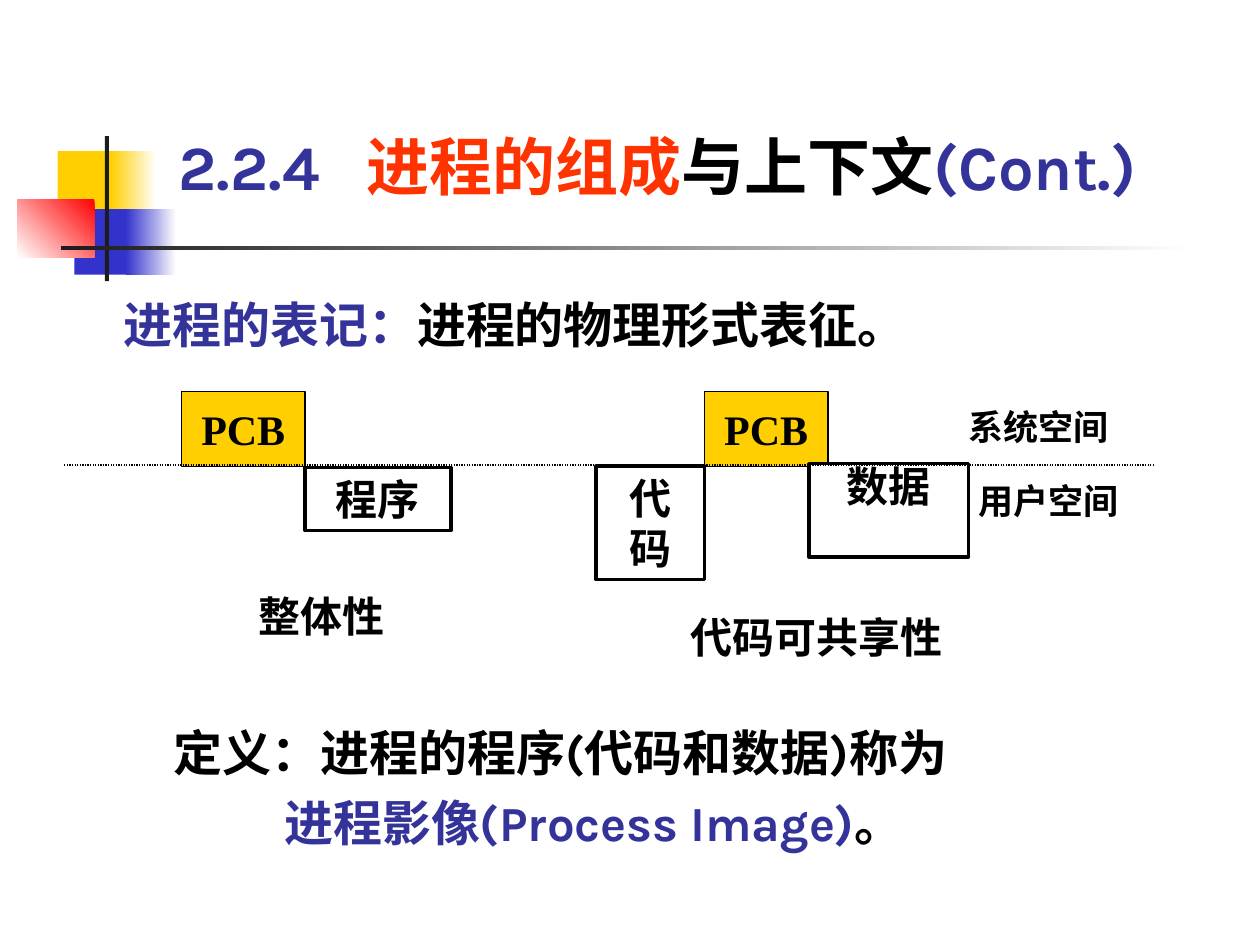
import pptx
import pptx.util
import pptx.dml.color
import pptx.enum.dml
import pptx.enum.shapes
import pptx.enum.text
import pptx.oxml.ns
import lxml.etree

Pt = pptx.util.Pt
ALIGN = pptx.enum.text.PP_ALIGN
ANCHOR = pptx.enum.text.MSO_ANCHOR
RECT = pptx.enum.shapes.MSO_SHAPE.RECTANGLE

THEME = {
    "white": "FFFFFF", "black": "000000", "gold": "FFCF01", "blue": "3333CC",
    "red": "FF0000", "dark": "1C1C1C", "navy": "333399", "orange": "FF3300",
    "sans": "Karla", "serif": "Times New Roman",
    "title": 36, "body": 28, "label": 24, "note": 20,
}

# Place (left, top, width, height), colours (one, or two for a blend), angle
DECOR = [
    ((33, 86.4, 34.5, 37.4), ["gold"], 0),
    ((63.4, 86.4, 25.9, 37.4), ["gold", "white"], 0),
    ((42.5, 119.5, 33, 37.4), ["blue"], 0),
    ((72, 119.5, 28.8, 37.4), ["blue", "white"], 0),
    ((10, 113.8, 44, 33.1), ["red", "white"], 225),
    ((60, 77.8, 2.2, 82.8), ["dark"], 0),
    ((34.6, 140.4, 648, 2.4), ["dark", "white"], 0),
]

# Place, text, font, fill, line width, anchor, line spacing
BOXES = [
    ((103.7, 223.9, 70.6, 42.5), "PCB", "serif", "gold", 0.75, "MIDDLE", 1),
    ((174.2, 267.1, 83.5, 36), "程序", "serif", "white", 2, "MIDDLE", 1),
    ((402.5, 223.9, 70.6, 42.5), "PCB", "serif", "gold", 0.75, "MIDDLE", 1),
    ((340.6, 266.4, 62, 64.8), "代码", "serif", "white", 2, "MIDDLE", 1),
    ((462.2, 265, 91.4, 53.3), "数据", "sans", "white", 2, "TOP", 0.8),
]

# Place, text, size, alignment, insets
LABELS = [
    ((138.2, 337.7, 91.4, 28.8), "整体性", "label", "CENTER", (0, 0)),
    ((377.3, 349.2, 178.6, 28.8), "代码可共享性", "label", "CENTER", (0, 0)),
    ((546.5, 228.2, 113.8, 31.7), "系统空间", "note", "LEFT", (7.2, 3.6)),
    ((552.2, 270.7, 95.8, 31.7), "用户空间", "note", "LEFT", (7.2, 3.6)),
]

BORDER = (36.7, 659.5, 265.7)  # from x, to x, y

# Place, size, anchor, line spacing, tab stop, paragraphs of (indent, runs)
PROSE = [
    ((102.2, 72.7, 569.5, 43.2), "title", "BOTTOM", 1, 107, [
        (0, [("2.2.4\t", "navy"), ("进程的组成", "orange"),
             ("与上下文", "black"), ("(Cont.)", "navy")])]),
    ((70.6, 172, 471, 30.2), "body", "TOP", 0.9, None, [
        (0, [("进程的表记：", "navy"), ("进程的物理形式表征。", "black")])]),
    ((99.4, 406, 481.7, 80.6), "body", "TOP", 1.2, None, [
        (0, [("定义：进程的程序(代码和数据)称为", "black")]),
        (63, [("进程影像(Process Image)", "navy"), ("。", "black")])]),
]


def color(name):
    return pptx.dml.color.RGBColor.from_string(THEME[name])


def frame(shape, anchor, insets):
    box = shape.text_frame
    box.word_wrap = True
    box.vertical_anchor = getattr(ANCHOR, anchor)
    box.margin_left = box.margin_right = Pt(insets[0])
    box.margin_top = box.margin_bottom = Pt(insets[1])
    return box


def write(para, runs, size, font, align="LEFT", space=1, indent=0, tab=None):
    """Style a paragraph and add its (text, colour) runs."""
    para.alignment = getattr(ALIGN, align)
    para.line_spacing = space
    props = para._p.get_or_add_pPr()
    if indent:
        props.set("marL", str(Pt(indent)))
    if tab:
        stops = lxml.etree.SubElement(props, pptx.oxml.ns.qn("a:tabLst"))
        lxml.etree.SubElement(stops, pptx.oxml.ns.qn("a:tab"),
                              pos=str(Pt(tab)), algn="l")
    for text, tint in runs:
        run = para.add_run()
        run.text = text
        run.font.size = Pt(THEME[size])
        run.font.name = THEME[font]
        run.font.bold = True
        run.font.color.rgb = color(tint)


def add_rect(slide, place, fills, angle=0):
    shape = slide.shapes.add_shape(RECT, *map(Pt, place))
    shape.shadow.inherit = False
    shape.line.fill.background()
    if len(fills) == 1:
        shape.fill.solid()
        shape.fill.fore_color.rgb = color(fills[0])
    else:
        shape.fill.gradient()
        shape.fill.gradient_angle = angle
        for stop, name in zip(shape.fill.gradient_stops, fills):
            stop.color.rgb = color(name)
    return shape


def add_box(slide, place, text, font, fill, width, anchor, space):
    shape = add_rect(slide, place, [fill])
    shape.line.color.rgb = color("black")
    shape.line.width = Pt(width)
    box = frame(shape, anchor, (7.2, 3.6))
    write(box.paragraphs[0], [(text, "black")], "label", font, "CENTER", space)


def add_label(slide, place, text, size, align, insets):
    box = frame(slide.shapes.add_textbox(*map(Pt, place)), "TOP", insets)
    write(box.paragraphs[0], [(text, "black")], size, "serif", align)


def add_prose(slide, place, size, anchor, space, tab, paras):
    box = frame(slide.shapes.add_textbox(*map(Pt, place)), anchor, (0, 0))
    for i, (indent, runs) in enumerate(paras):
        para = box.add_paragraph() if i else box.paragraphs[0]
        write(para, runs, size, "sans", space=space, indent=indent, tab=tab)


def add_border(slide, start, end, y):
    """Draw the dotted line between system space and user space."""
    line = slide.shapes.add_connector(
        pptx.enum.shapes.MSO_CONNECTOR.STRAIGHT, Pt(start), Pt(y), Pt(end), Pt(y))
    line.line.color.rgb = color("black")
    line.line.width = Pt(0.75)
    line.line.dash_style = pptx.enum.dml.MSO_LINE.ROUND_DOT
    lxml.etree.SubElement(line._element.spPr, pptx.oxml.ns.qn("a:effectLst"))


def main():
    deck = pptx.Presentation()
    deck.slide_width, deck.slide_height = Pt(720), Pt(540)
    slide = deck.slides.add_slide(deck.slide_layouts[6])
    for item in DECOR:
        add_rect(slide, *item)
    for item in PROSE:
        add_prose(slide, *item)
    for item in BOXES:
        add_box(slide, *item)
    add_border(slide, *BORDER)
    for item in LABELS:
        add_label(slide, *item)
    deck.save("out.pptx")


if __name__ == "__main__":
    main()
